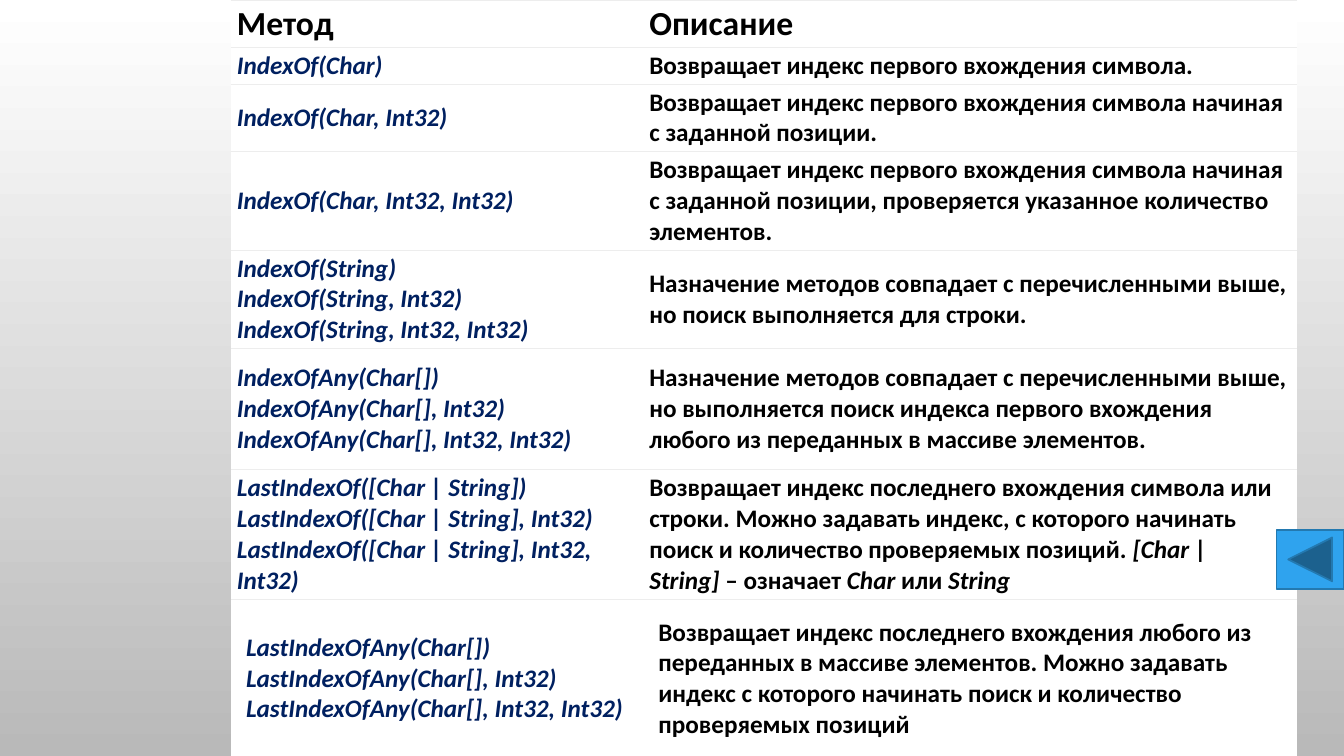
"""Builds a slide with a table of string search methods."""
from lxml.etree import SubElement
from pptx import Presentation
from pptx.dml.color import RGBColor
from pptx.enum.shapes import MSO_SHAPE
from pptx.enum.text import MSO_ANCHOR
from pptx.oxml.ns import qn
from pptx.util import Inches, Pt

BLACK, NAVY, WHITE, BORDER = "000000", "002060", "FFFFFF", "EDEDED"
NO_BREAK_SPACE = chr(160)
COLUMN_WIDTHS = [4.09, 6.48]
ROW_HEIGHTS = [0.47, 0.36, 0.67, 0.97, 0.97, 1.2, 1.29, 1.57]
HEADINGS = ["Метод", "Описание"]
METHODS = [
    (["IndexOf(Char)"],
     [("Возвращает индекс первого вхождения символа.", False)]),
    (["IndexOf(Char, Int32)"],
     [("Возвращает индекс первого вхождения символа начиная с заданной позиции.", False)]),
    (["IndexOf(Char, Int32, Int32)"],
     [("Возвращает индекс первого вхождения символа начиная с заданной позиции, "
       "проверяется указанное количество элементов.", False)]),
    (["IndexOf(String)", "IndexOf(String, Int32)", "IndexOf(String, Int32, Int32)"],
     [("Назначение методов совпадает с перечисленными выше, "
       "но поиск выполняется для строки.", False)]),
    (["IndexOfAny(Char[])", "IndexOfAny(Char[], Int32)", "IndexOfAny(Char[], Int32, Int32)"],
     [("Назначение методов совпадает с перечисленными выше, но выполняется поиск индекса "
       "первого вхождения любого из переданных в массиве элементов.", False)]),
    (["LastIndexOf([Char | String])", "LastIndexOf([Char | String], Int32)",
      "LastIndexOf([Char | String], Int32, Int32)"],
     [("Возвращает индекс последнего вхождения символа или строки. Можно задавать индекс, "
       "с которого начинать поиск и количество проверяемых позиций." + NO_BREAK_SPACE, False),
      ("[Char | String]", True),
      (f"{NO_BREAK_SPACE}– означает{NO_BREAK_SPACE}", False),
      (f"Char{NO_BREAK_SPACE}", True),
      (f"или{NO_BREAK_SPACE}", False),
      ("String", True)]),
    (["LastIndexOfAny(Char[])", "LastIndexOfAny(Char[], Int32)",
      "LastIndexOfAny(Char[], Int32, Int32)"],
     [("Возвращает индекс последнего вхождения любого из переданных в массиве элементов. "
       "Можно задавать индекс с которого начинать поиск и количество проверяемых позиций",
       False)]),
]


def color(value):
    return RGBColor.from_string(value)


def set_background(slide, top, bottom):
    fill = slide.background.fill
    fill.gradient()
    fill.gradient_angle = 270
    for stop, value in zip(fill.gradient_stops, (top, bottom)):
        stop.color.rgb = color(value)


def set_borders(cell, visible):
    properties = cell._tc.get_or_add_tcPr()
    for side in ("L", "R", "T", "B"):
        line = SubElement(properties, qn(f"a:ln{side}"), w=str(Pt(0.75)))
        if side in visible:
            fill = SubElement(line, qn("a:solidFill"))
            SubElement(fill, qn("a:srgbClr"), val=BORDER)
        else:
            SubElement(line, qn("a:noFill"))


def format_cell(cell, is_last):
    set_borders(cell, "T" if is_last else "TB")
    cell.fill.solid()
    cell.fill.fore_color.rgb = color(WHITE)
    cell.vertical_anchor = MSO_ANCHOR.MIDDLE
    cell.margin_left = cell.margin_right = Inches(0.15 if is_last else 0.06)
    cell.margin_top = cell.margin_bottom = Inches(0.07 if is_last else 0.03)


def add_run(paragraph, text, size, value, italic=False):
    run = paragraph.add_run()
    run.text = text
    run.font.name = "Calibri"
    run.font.size = Pt(size)
    run.font.bold = True
    run.font.italic = italic
    run.font.color.rgb = color(value)


def add_signatures(paragraph, signatures):
    for index, signature in enumerate(signatures):
        if index:
            paragraph.add_line_break()
        add_run(paragraph, signature, 18, NAVY, True)


def add_description(paragraph, parts):
    for text, italic in parts:
        add_run(paragraph, text, 18, BLACK, italic)


def add_method_table(slide):
    frame = slide.shapes.add_table(len(ROW_HEIGHTS), len(COLUMN_WIDTHS), Inches(2.29),
                                   Inches(0), Inches(10.57), Inches(7.5))
    table = frame.table
    table.first_row = table.horz_banding = False
    for column, width in zip(table.columns, COLUMN_WIDTHS):
        column.width = Inches(width)
    for index, (row, height) in enumerate(zip(table.rows, ROW_HEIGHTS)):
        row.height = Inches(height)
        for cell in row.cells:
            format_cell(cell, index == len(METHODS))
    for column, heading in enumerate(HEADINGS):
        add_run(table.cell(0, column).text_frame.paragraphs[0], heading, 24, BLACK)
    for row, (signatures, description) in enumerate(METHODS, 1):
        add_signatures(table.cell(row, 0).text_frame.paragraphs[0], signatures)
        add_description(table.cell(row, 1).text_frame.paragraphs[0], description)


def add_back_button(slide):
    button = slide.shapes.add_shape(MSO_SHAPE.ACTION_BUTTON_BACK_OR_PREVIOUS, Inches(12.66),
                                    Inches(5.26), Inches(0.67), Inches(0.58))
    button.shadow.inherit = False
    button.fill.solid()
    button.fill.fore_color.rgb = color("2FA3EE")
    button.line.color.rgb = color("2379B0")
    button.line.width = Pt(1.25)


def main():
    presentation = Presentation()
    presentation.slide_width = Inches(13.33)
    presentation.slide_height = Inches(7.5)
    slide = presentation.slides.add_slide(presentation.slide_layouts[6])
    set_background(slide, "FFFFFF", "B9B9B9")
    add_method_table(slide)
    add_back_button(slide)
    presentation.save("out.pptx")


if __name__ == "__main__":
    main()
